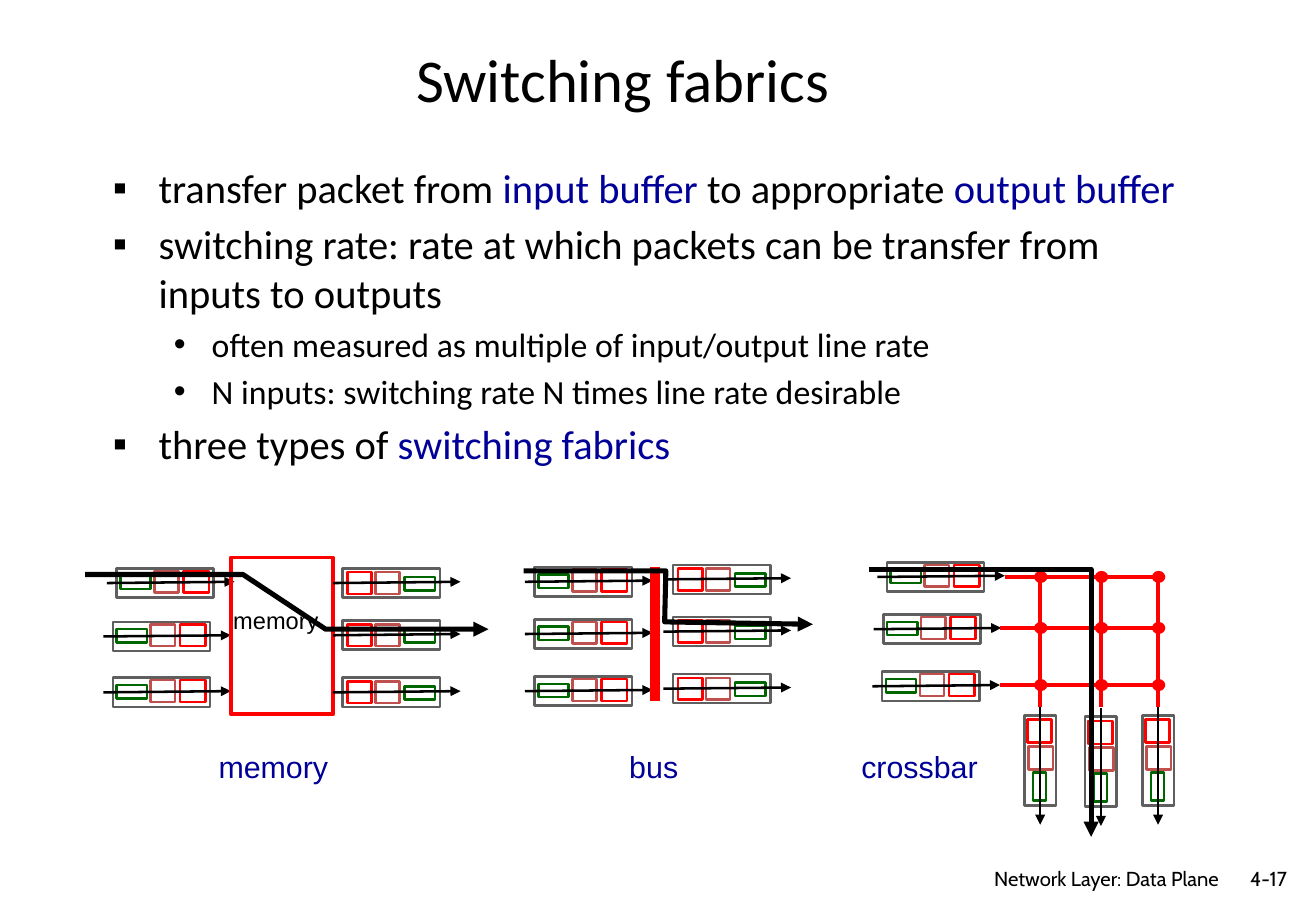
from lxml import etree
from pptx import Presentation
from pptx import util as u
from pptx.dml.color import RGBColor
from pptx.enum import shapes, text
from pptx.oxml.ns import qn

BLACK, WHITE, NAVY = "000000", "FFFFFF", "000099"
RED, BROWN, GREEN, GRAY = "FF0000", "C0504D", "006600", "5F5F5F"

INPUT_QUEUE = {
    "boxes": [(0, 0, 0.8, 0.24, GRAY), (0.03, 0.06, 0.25, 0.11, GREEN),
              (0.31, 0.02, 0.2, 0.18, BROWN), (0.55, 0.02, 0.21, 0.18, RED)],
    "arrow": (-0.08, 0.12, 0.97, 0.11), "rotation": 0}
OUTPUT_QUEUE = {
    "boxes": [(0, 0, 0.8, 0.24, GRAY), (0.51, 0.07, 0.25, 0.11, GREEN),
              (0.27, 0.03, 0.2, 0.18, BROWN), (0.04, 0.03, 0.2, 0.18, RED)],
    "arrow": (-0.08, 0.12, 0.97, 0.11), "rotation": 0}
VERTICAL_QUEUE = {
    "boxes": [(0, 0, 0.74, 0.26, GRAY), (0.25, 0.29, 0.23, 0.11, GREEN),
              (0.28, 0.01, 0.19, 0.2, BROWN), (0.27, -0.21, 0.19, 0.2, RED)],
    "arrow": (0.37, -0.31, 0.37, 0.66), "rotation": 90}

BULLETS = [
    (0, [("transfer packet from ", BLACK), ("input buffer ", NAVY),
         ("to appropriate ", BLACK), ("output buffer", NAVY)]),
    (0, [("switching rate: rate at which packets can be transfer from "
          "inputs to outputs", BLACK)]),
    (1, [("often measured as multiple of input/output line rate", BLACK)]),
    (1, [("N inputs: switching rate N times line rate desirable", BLACK)]),
    (0, [("three types of ", BLACK), ("switching fabrics", NAVY)]),
]


def rgb(value):
    return RGBColor.from_string(value)


def inches(*values):
    return [u.Inches(value) for value in values]


def place(shape, left, top, width, height):
    shape.left, shape.top, shape.width, shape.height = inches(left, top, width, height)


def format_run(run, size, font, color):
    run.font.size = u.Pt(size)
    run.font.name = font
    run.font.color.rgb = rgb(color)


def set_line(shape, color, width):
    shape.line.color.rgb = rgb(color)
    shape.line.width = u.Pt(width)


def add_arrowhead(shape):
    outline = shape.element.spPr.get_or_add_ln()
    etree.SubElement(outline, qn("a:tailEnd"), type="triangle")


def add_box(parent, kind, frame, fill=None, line=None, width=1.5, rotation=0):
    shape = parent.add_shape(kind, *inches(*frame))
    shape.shadow.inherit = False
    shape.rotation = rotation
    if fill:
        shape.fill.solid()
        shape.fill.fore_color.rgb = rgb(fill)
    else:
        shape.fill.background()
    if line:
        set_line(shape, line, width)
    else:
        shape.line.fill.background()


def add_line(parent, start, end, color, width, arrow=False):
    connector = parent.add_connector(shapes.MSO_CONNECTOR.STRAIGHT,
                                     *inches(*start, *end))
    set_line(connector, color, width)
    if arrow:
        add_arrowhead(connector)
    etree.SubElement(connector.element.spPr, qn("a:effectLst"))


def add_queue(slide, left, top, queue):
    group = slide.shapes.add_group_shape().shapes
    for x, y, width, height, color in queue["boxes"]:
        add_box(group, shapes.MSO_SHAPE.RECTANGLE, (left + x, top + y, width, height),
                WHITE, color, rotation=queue["rotation"])
    x1, y1, x2, y2 = queue["arrow"]
    add_line(group, (left + x1, top + y1), (left + x2, top + y2), BLACK, 1.5, True)


def add_packet_path(slide, points):
    start, *rest = [inches(*point) for point in points]
    builder = slide.shapes.build_freeform(*start)
    builder.add_line_segments(rest, close=False)
    shape = builder.convert_to_shape()
    shape.shadow.inherit = False
    shape.fill.background()
    set_line(shape, BLACK, 3)
    add_arrowhead(shape)


def add_label(slide, words, frame, size, color):
    box = slide.shapes.add_textbox(*inches(*frame))
    box.text_frame.text = words
    box.text_frame.word_wrap = False
    box.text_frame.auto_size = text.MSO_AUTO_SIZE.SHAPE_TO_FIT_TEXT
    format_run(box.text_frame.paragraphs[0].runs[0], size, "Arial", color)


def add_footer(slide, words, frame, anchor):
    box = slide.shapes.add_textbox(*inches(*frame))
    box.text_frame.word_wrap = True
    box.text_frame.vertical_anchor = anchor
    box.text_frame.text = words
    paragraph = box.text_frame.paragraphs[0]
    paragraph.alignment = text.PP_ALIGN.RIGHT
    format_run(paragraph.runs[0], 12, "Cabin", BLACK)


def fill_title(title):
    place(title, 0.52, 0.27, 9.21, 0.75)
    title.text_frame.text = "Switching fabrics"
    title.text_frame.auto_size = text.MSO_AUTO_SIZE.NONE
    title.text_frame.vertical_anchor = text.MSO_ANCHOR.MIDDLE
    paragraph = title.text_frame.paragraphs[0]
    paragraph.alignment = text.PP_ALIGN.CENTER
    format_run(paragraph.runs[0], 36, "Calibri", BLACK)


def fill_body(body):
    place(body, 0.83, 1.29, 9.21, 5.08)
    frame = body.text_frame
    frame.auto_size = text.MSO_AUTO_SIZE.NONE
    for index, (level, pieces) in enumerate(BULLETS):
        paragraph = frame.add_paragraph() if index else frame.paragraphs[0]
        paragraph.level = level
        properties = paragraph._p.get_or_add_pPr()
        etree.SubElement(properties, qn("a:buFont"), typeface="Arial")
        etree.SubElement(properties, qn("a:buChar"), char="▪•"[level])
        for words, color in pieces:
            run = paragraph.add_run()
            run.text = words
            format_run(run, (24, 20)[level], "Calibri", color)


def draw_memory(slide):
    for left, top in [(0.96, 4.68), (0.93, 5.12), (0.93, 5.58)]:
        add_queue(slide, left, top, INPUT_QUEUE)
    add_box(slide.shapes, shapes.MSO_SHAPE.RECTANGLE, (1.9, 4.59, 0.84, 1.29),
            line=RED, width=2.25)
    for top in (4.68, 5.11, 5.58):
        add_queue(slide, 2.82, top, OUTPUT_QUEUE)
    add_label(slide, "memory", (1.7, 6.11, 1.11, 0.4), 18, NAVY)
    add_label(slide, "memory", (1.82, 4.94, 0.91, 0.34), 14, BLACK)


def draw_bus(slide):
    for top in (4.67, 5.1, 5.57):
        add_queue(slide, 4.4, top, INPUT_QUEUE)
    add_line(slide.shapes, (5.39, 4.67), (5.39, 5.77), RED, 6)
    for top in (4.65, 5.08, 5.55):
        add_queue(slide, 5.54, top, OUTPUT_QUEUE)
    add_label(slide, "bus", (5.08, 6.11, 0.61, 0.4), 18, NAVY)


def draw_crossbar(slide):
    columns, rows = (8.56, 9.06, 9.53), (4.75, 5.17, 5.64)
    for left, top in [(7.3, 4.63), (7.27, 5.06), (7.26, 5.53)]:
        add_queue(slide, left, top, INPUT_QUEUE)
    for left, top in [(9.16, 6.13), (8.69, 6.14), (8.19, 6.13)]:
        add_queue(slide, left, top, VERTICAL_QUEUE)
    for y, start in zip(rows, (8.27, 8.23, 8.23)):
        add_line(slide.shapes, (start, y), (columns[-1], y), RED, 2.25)
    for x in columns:
        add_line(slide.shapes, (x, 5.82), (x, rows[0]), RED, 2.25)
    for x in columns:
        for y in rows:
            add_box(slide.shapes, shapes.MSO_SHAPE.OVAL,
                    (x - 0.05, y - 0.05, 0.11, 0.1), RED)
    add_label(slide, "crossbar", (6.99, 6.11, 1.17, 0.4), 18, NAVY)


def main():
    presentation = Presentation()
    presentation.slide_width, presentation.slide_height = inches(10.83, 7.5)
    slide = presentation.slides.add_slide(presentation.slide_layouts[1])
    fill_title(slide.shapes.title)
    fill_body(slide.placeholders[1])
    add_footer(slide, "Network Layer: Data Plane", (7.55, 7.08, 2.58, 0.26),
               text.MSO_ANCHOR.TOP)
    add_footer(slide, "4-17", (10.02, 7.08, 0.67, 0.3), text.MSO_ANCHOR.MIDDLE)
    draw_memory(slide)
    draw_bus(slide)
    draw_crossbar(slide)
    add_packet_path(slide, [(0.7, 4.73), (2, 4.73), (2.68, 5.18), (4.02, 5.18)])
    add_packet_path(slide, [(4.31, 4.7), (5.48, 4.7), (5.47, 5.12), (6.69, 5.14)])
    add_packet_path(slide, [(7.15, 4.69), (8.98, 4.69), (8.98, 6.89)])
    presentation.save("out.pptx")


if __name__ == "__main__":
    main()
